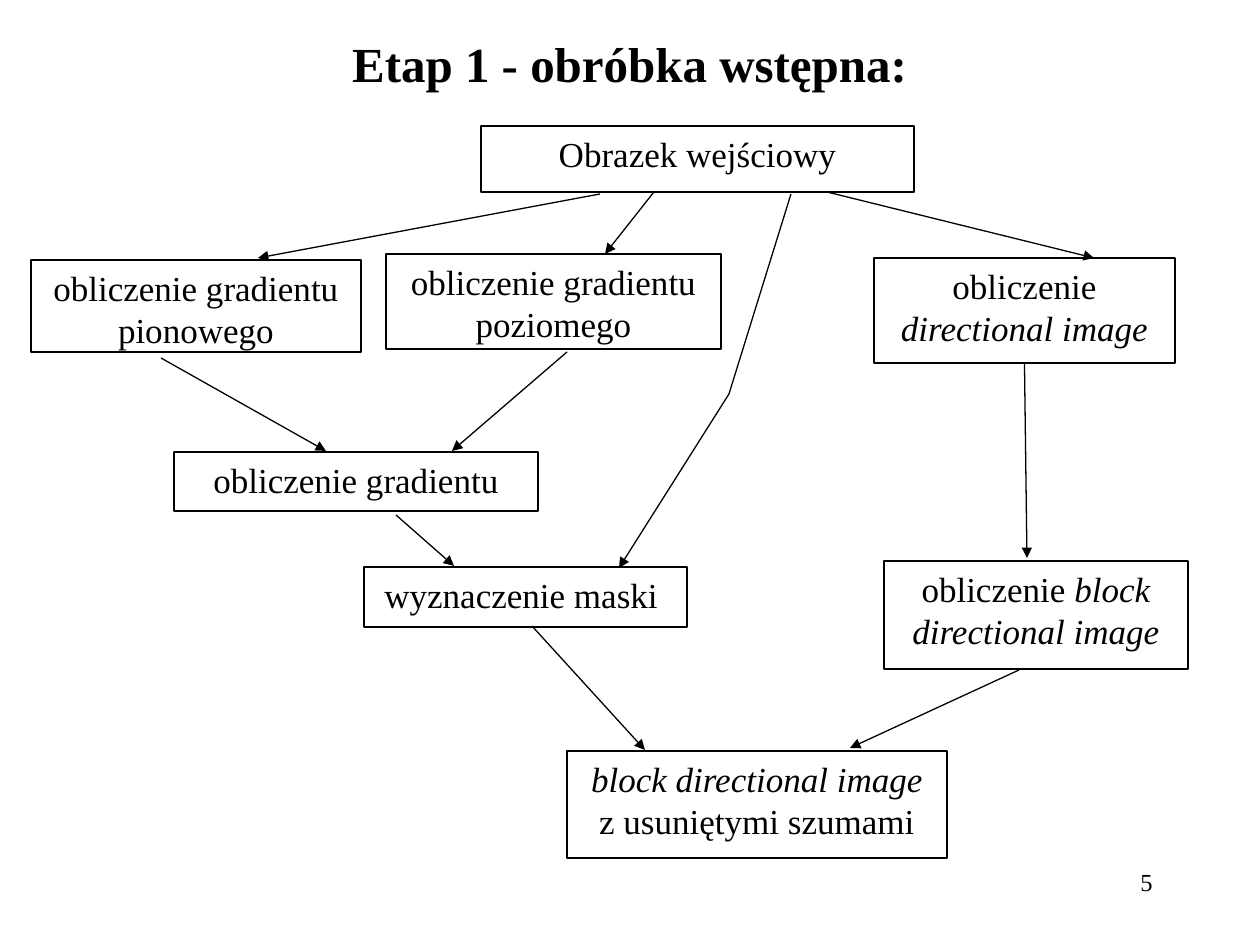
import pptx
import pptx.util
import pptx.dml.color
import pptx.enum.shapes
import pptx.enum.text
import lxml.etree

Align = pptx.enum.text.PP_ALIGN
Anchor = pptx.enum.text.MSO_ANCHOR
Kind = pptx.enum.shapes.MSO_SHAPE
Link = pptx.enum.shapes.MSO_CONNECTOR
ns = "{http://schemas.openxmlformats.org/drawingml/2006/main}"
scale = 914400 / 126

theme = {
    "ink": pptx.dml.color.RGBColor(0, 0, 0),
    "paper": pptx.dml.color.RGBColor(255, 255, 255),
    "font": "Times New Roman",
    "title": pptx.util.Pt(28),
    "body": pptx.util.Pt(20),
    "page": pptx.util.Pt(14),
    "line": pptx.util.Pt(0.75),
}


def write(frame, runs, size, align, anchor, bold=False):
    """Fill a text frame with (text, italic) runs."""
    for name, value in {"word_wrap": True, "vertical_anchor": anchor}.items():
        setattr(frame, name, value)
    para = frame.paragraphs[0]
    para.alignment = align
    for text, slant in runs:
        run = para.add_run()
        run.text = text
        style = {"name": theme["font"], "size": size, "bold": bold, "italic": slant}
        for name, value in style.items():
            setattr(run.font, name, value)
        run.font.color.rgb = theme["ink"]


def stroke(shape, arrow):
    """Draw the outline, with an arrowhead at its end if asked."""
    shape.line.color.rgb = theme["ink"]
    shape.line.width = theme["line"]
    if arrow:
        line = shape.line._get_or_add_ln()
        lxml.etree.SubElement(line, ns + "tailEnd", type="triangle")


deck = pptx.Presentation()
deck.slide_width, deck.slide_height = [round(n * scale) for n in (1260, 945)]
slide = deck.slides.add_slide(deck.slide_layouts[5])
shapes = slide.shapes

title = shapes.title
place = {"left": 94, "top": 0, "width": 1071, "height": 126}
for name, value in place.items():
    setattr(title, name, round(value * scale))
write(title.text_frame, [("Etap 1 - obróbka wstępna:", False)],
      theme["title"], Align.CENTER, Anchor.MIDDLE, True)

# name: (left, top, width, height), runs
steps = {
    "input": ((481, 126, 433, 66), [("Obrazek wejściowy", False)]),
    "vert": ((31, 260, 330, 92), [("obliczenie gradientu pionowego", False)]),
    "horiz": ((386, 254, 335, 95), [("obliczenie gradientu poziomego", False)]),
    "direct": ((874, 258, 301, 105),
               [("obliczenie ", False), ("directional image", True)]),
    "grad": ((174, 452, 364, 59), [("obliczenie gradientu", False)]),
    "mask": ((364, 567, 323, 60), [("wyznaczenie maski ", False)]),
    "block": ((884, 561, 304, 108),
              [("obliczenie ", False), ("block directional image", True)]),
    "clean": ((567, 751, 380, 107),
              [("block directional image ", True), ("z usuniętymi szumami", False)]),
}
boxes = {}
for name, (place, runs) in steps.items():
    box = shapes.add_shape(Kind.RECTANGLE, *[round(n * scale) for n in place])
    box.shadow.inherit = False
    box.fill.solid()
    box.fill.fore_color.rgb = theme["paper"]
    stroke(box, False)
    write(box.text_frame, runs, theme["body"], Align.CENTER, Anchor.TOP)
    boxes[name] = box

# start x, start y, end x, end y, box whose bottom middle is the start
arrows = [
    (600, 194, 258, 258, None),
    (654, 192, 605, 254, None),
    (827, 192, 1094, 258, None),
    (161, 358, 326, 451, None),
    (567, 352, 452, 451, None),
    (396, 515, 454, 566, None),
    (532, 626, 645, 750, None),
    (1025, 363, 1027, 558, "direct"),
    (1019, 670, 850, 748, None),
]
for *ends, source in arrows:
    arrow = shapes.add_connector(Link.STRAIGHT, *[round(n * scale) for n in ends])
    if source:
        arrow.begin_connect(boxes[source], 2)
    stroke(arrow, True)
    lxml.etree.SubElement(arrow._element.spPr, ns + "effectLst")

bend = shapes.build_freeform(791, 194, scale=scale)
bend.add_line_segments([(729, 394), (619, 568)], close=False)
route = bend.convert_to_shape()
route.shadow.inherit = False
route.fill.background()
stroke(route, True)

page = shapes.add_textbox(*[round(n * scale) for n in (903, 861, 262, 63)])
write(page.text_frame, [("5", False)], theme["page"], Align.RIGHT, Anchor.TOP)

deck.save("out.pptx")
